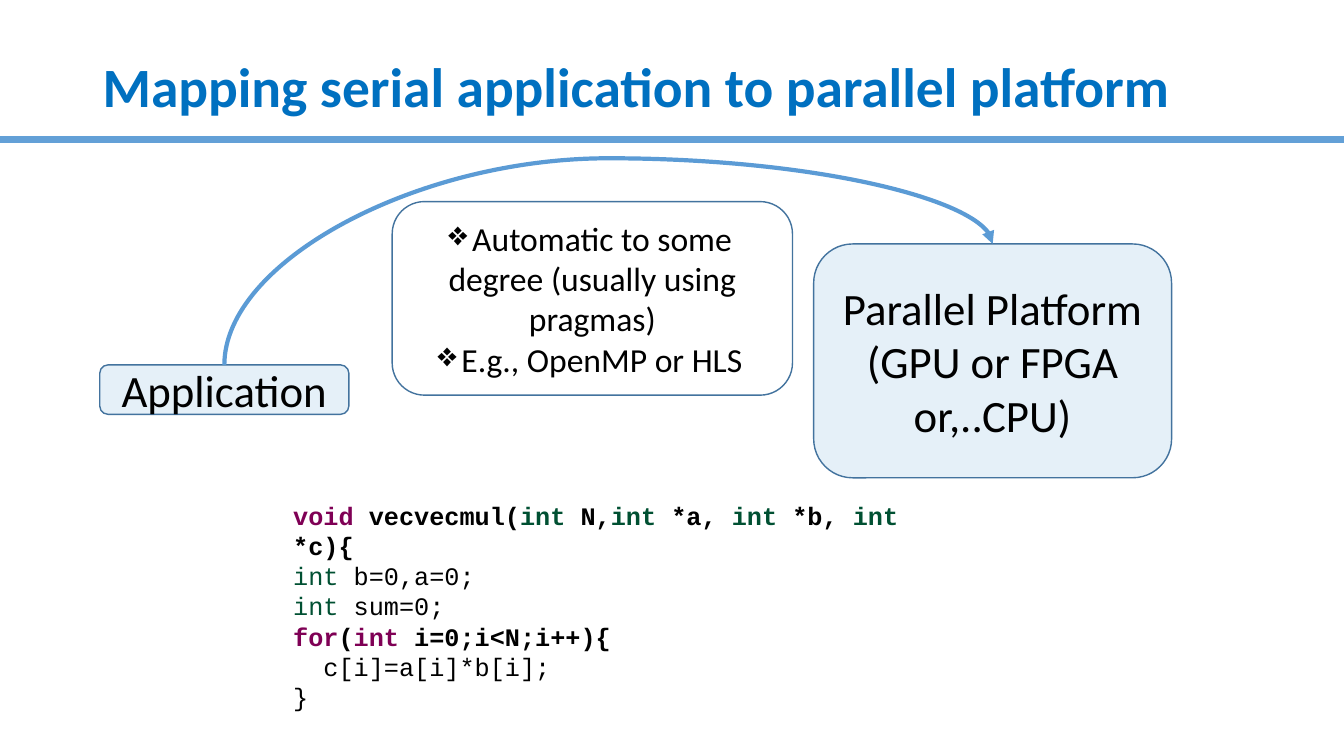
import pptx
import pptx.dml.color
import pptx.enum.shapes
import pptx.enum.text
import pptx.oxml
import pptx.oxml.ns
import pptx.util

Inches = pptx.util.Inches
Pt = pptx.util.Pt
COLORS = {
    "title": "0070C0", "rule": "63A0D7", "arrow": "5B9BD5", "outline": "43739E",
    "text": "000000", "keyword": "7F0055", "type": "005032",
}
CODE = [
    [("void ", "keyword", True), ("vecvecmul(", "text", True), ("int ", "type", True),
     ("N,", "text", True), ("int", "type", True), (" *a, ", "text", True),
     ("int", "type", True), (" *b, ", "text", True), ("int", "type", True),
     (" *c){", "text", True)],
    [("int", "type", False), (" b=0,a=0;", "text", False)],
    [("int", "type", False), (" sum=0;", "text", False)],
    [("for", "keyword", True), ("(", "text", True), ("int ", "keyword", True),
     ("i=0;i<N;i++){", "text", True)],
    [("  c[i]=a[i]*b[i];", "text", False)],
    [("}", "text", False)],
]


def color(name):
    """Return the named colour."""
    return pptx.dml.color.RGBColor.from_string(COLORS[name])


def element(parent, tag, **attributes):
    """Append a drawing element with the given attributes to its parent."""
    child = pptx.oxml.parse_xml(f"<a:{tag} {pptx.oxml.ns.nsdecls('a')}/>")
    for key, value in attributes.items():
        child.set(key, str(value))
    parent.append(child)
    return child


def style(font, size, name="text", bold=False, face="Calibri"):
    """Set size, colour, weight and face of a font."""
    font.size, font.bold, font.name = Pt(size), bold, face
    font.color.rgb = color(name)


def add_line(page, kind, start, end, name, width):
    """Add a connector without shadow between two points."""
    line = page.shapes.add_connector(kind, *map(Inches, start + end))
    line.line.color.rgb = color(name)
    line.line.width = Pt(width)
    element(line._element.spPr, "effectLst")
    return line


def add_title(page, box, text):
    """Add the heading and the rule across the page at its lower edge."""
    left, top, width, height = box
    rule = top + height
    add_line(page, pptx.enum.shapes.MSO_CONNECTOR.STRAIGHT, (13.33, rule), (0, rule), "rule", 5)
    frame = page.shapes.add_textbox(*map(Inches, box)).text_frame
    frame.word_wrap = True
    frame.vertical_anchor = pptx.enum.text.MSO_ANCHOR.MIDDLE
    frame.text = text
    frame.paragraphs[0].line_spacing = 0.9
    style(frame.paragraphs[0].runs[0].font, 39.6, "title", True)


def add_card(page, box, lines, size, tinted=True, bullet=None):
    """Add a rounded box with centred lines, tinted or clear."""
    card = page.shapes.add_shape(
        pptx.enum.shapes.MSO_SHAPE.ROUNDED_RECTANGLE, *map(Inches, box))
    card.shadow.inherit = False
    card.line.color.rgb = color("outline")
    card.line.width = Pt(1)
    if tinted:
        card.fill.solid()
        card.fill.fore_color.rgb = color("title")
        tint = card._element.spPr.find(".//" + pptx.oxml.ns.qn("a:srgbClr"))
        element(tint, "alpha", val=10000)
    else:
        card.fill.background()
    frame = card.text_frame
    frame.word_wrap = True
    frame.vertical_anchor = pptx.enum.text.MSO_ANCHOR.MIDDLE
    frame.text = "\n".join(lines)
    for para in frame.paragraphs:
        para.alignment = pptx.enum.text.PP_ALIGN.CENTER
        if bullet:
            element(para._p.get_or_add_pPr(), "buChar", char=bullet)
        style(para.runs[0].font, size)


def add_arc_arrow(page, source, target, peak):
    """Arch an arrow from the top of one box over the peak to the top of another."""
    start_x, start_y = source[0] + source[2] / 2, source[1]
    end_x, end_y = target[0] + target[2] / 2, target[1]
    rise, run = start_y - end_y, end_x - start_x
    middle_x, middle_y = (start_x + end_x) / 2, (start_y + end_y) / 2
    arrow = add_line(
        page, pptx.enum.shapes.MSO_CONNECTOR.CURVE,
        (middle_x + rise / 2, middle_y + run / 2),
        (middle_x - rise / 2, middle_y - run / 2), "arrow", 3)
    properties = arrow._element.spPr
    properties.find(pptx.oxml.ns.qn("a:xfrm")).set("rot", "5400000")
    guides = properties.find(".//" + pptx.oxml.ns.qn("a:avLst"))
    bend = round((start_y - peak) / rise * 100000)
    element(guides, "gd", name="adj1", fmla=f"val {bend}")
    element(arrow.line._get_or_add_ln(), "tailEnd", type="triangle")


def add_code(page, box, lines):
    """Add the coloured code listing."""
    frame = page.shapes.add_textbox(*map(Inches, box)).text_frame
    frame.word_wrap = True
    frame.auto_size = pptx.enum.text.MSO_AUTO_SIZE.SHAPE_TO_FIT_TEXT
    for index, line in enumerate(lines):
        para = frame.add_paragraph() if index else frame.paragraphs[0]
        for text, name, bold in line:
            span = para.add_run()
            span.text = text
            style(span.font, 18, name, bold, "Courier New")


def build_mapping_page(page):
    """Place the heading, the mapping diagram and the code on the page."""
    application = (0.99, 3.62, 2.47, 0.49)
    platform = (8.07, 2.42, 3.55, 2.32)
    add_title(page, (0.92, 0.4, 11.5, 0.98), "Mapping serial application to parallel platform")
    add_card(page, application, ["Application"], 32)
    add_card(page, platform, ["Parallel Platform", "(GPU or FPGA or,..CPU)"], 32)
    add_arc_arrow(page, application, platform, 1.57)
    add_card(page, (3.89, 2, 3.97, 1.92),
             ["Automatic to some degree (usually using pragmas)", "E.g., OpenMP or HLS"],
             24, tinted=False, bullet="❖")
    add_code(page, (2.81, 4.91, 6.67, 1.92), CODE)


def main():
    """Build the deck and save it."""
    deck = pptx.Presentation()
    deck.slide_width, deck.slide_height = Inches(13.33), Inches(7.5)
    build_mapping_page(deck.slides.add_slide(deck.slide_layouts[6]))
    deck.save("out.pptx")


if __name__ == "__main__":
    main()
